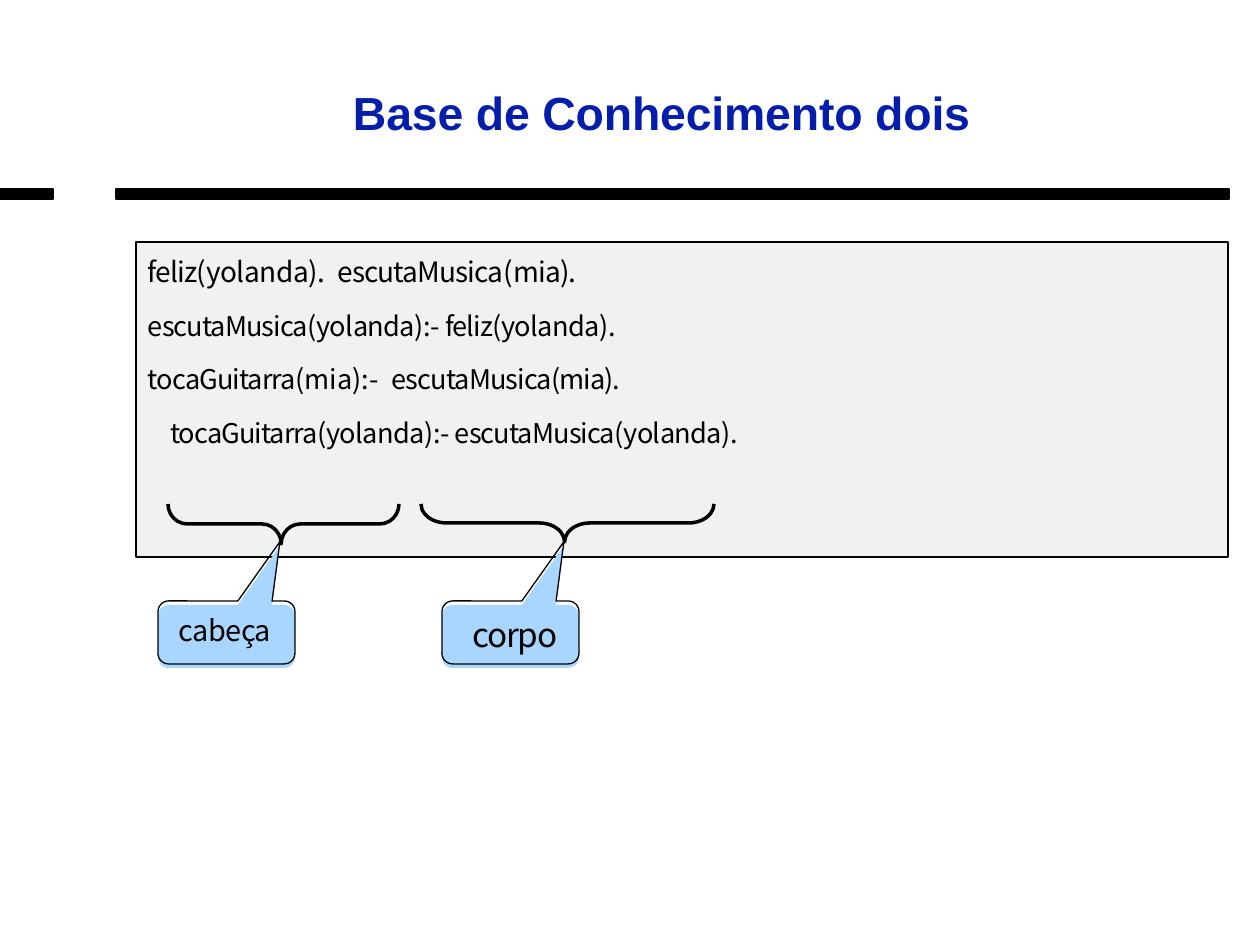
from lxml.etree import SubElement
from pptx import Presentation
from pptx.dml.color import RGBColor
from pptx.enum.shapes import MSO_SHAPE
from pptx.enum.text import MSO_ANCHOR, MSO_AUTO_SIZE, PP_ALIGN
from pptx.oxml.ns import qn
from pptx.util import Emu, Pt

EMU_PER_PX = 914400 / 126
COLORS = {"title": "041DAA", "ink": "000000", "panel": "E4E4E4", "callout": "A8D6FF"}
BODY_FONT = "Noto Sans CJK JP"
CLAUSES = [
    (16, 1, 1.5, 1, [("feliz(", -0.5), ("yolanda).", -0.2), (" ", 3.3),
                     ("escutaMusica", -0.5), ("(", 0.5), ("mia).", -0.5)]),
    (15.5, 1, Pt(29), 1.6, [("escutaMusica(", -0.5), ("yolanda):- ", -0.3),
                            ("feliz(", -0.5), ("yolanda).", -0.3)]),
    (15.5, 1, Pt(29), 1.6, [("tocaGuitarra(", -0.5), ("mia):-", 0.1), (" ", 3.6),
                            ("escutaMusica(mia).", -0.5)]),
    (15.5, 23, Pt(29), 1.6, [("tocaGuitarra(", -0.5), ("yolanda):- ", -0.3),
                             ("escutaMusica(", -0.5), ("yolanda).", -0.3)]),
]


def px(length):
    """Turn pixels into EMU."""
    return Emu(round(length * EMU_PER_PX))


def color(name):
    """Look up a named colour."""
    return RGBColor.from_string(COLORS[name])


def add_preset(slide, kind, box, fill=None, line=None, adjustments=()):
    """Add a preset shape with an optional fill colour and line width."""
    shape = slide.shapes.add_shape(kind, *map(px, box))
    shape.shadow.inherit = False
    for index, value in enumerate(adjustments):
        shape.adjustments[index] = value
    if fill:
        shape.fill.solid()
        shape.fill.fore_color.rgb = color(fill)
    else:
        shape.fill.background()
    if line:
        shape.line.color.rgb = color("ink")
        shape.line.width = Pt(line)
    else:
        shape.line.fill.background()
    return shape


def format_frame(frame, top_inset=1):
    """Give a text frame tight insets and top anchoring."""
    values = {"margin_left": 0, "margin_right": 0, "margin_bottom": 0,
              "margin_top": px(top_inset), "word_wrap": True,
              "auto_size": MSO_AUTO_SIZE.NONE, "vertical_anchor": MSO_ANCHOR.TOP}
    for name, value in values.items():
        setattr(frame, name, value)


def write_paragraph(paragraph, runs, size, indent, before, spacing=None,
                    font=BODY_FONT, ink="ink", bold=False):
    """Write runs of text, each with its own letter spacing."""
    values = {"alignment": PP_ALIGN.LEFT, "space_before": Pt(before), "line_spacing": spacing}
    for name, value in values.items():
        setattr(paragraph, name, value)
    properties = paragraph._p.get_or_add_pPr()
    properties.set("marL", str(px(indent)))
    properties.set("indent", "0")
    for text, tracking in runs:
        run = paragraph.add_run()
        run.text = text
        for name, value in {"name": font, "size": Pt(size), "bold": bold}.items():
            setattr(run.font, name, value)
        run.font.color.rgb = color(ink)
        run._r.get_or_add_rPr().set("spc", str(round(tracking * 100)))


def add_text(slide, box, top_inset=1):
    """Add a text box and return its frame."""
    frame = slide.shapes.add_textbox(*map(px, box)).text_frame
    format_frame(frame, top_inset)
    return frame


def add_header(slide, box):
    """Place the title and the broken rule below it."""
    left, top, width, height = box
    title = slide.shapes.title
    places = {"left": left + 286, "top": top, "width": 687, "height": 59}
    for name, value in places.items():
        setattr(title, name, px(value))
    format_frame(title.text_frame)
    write_paragraph(title.text_frame.paragraphs[0], [("Base de Conhecimento dois", -0.1)],
                    26.5, 67, 0.9, font="Arial", ink="title", bold=True)
    for start, end in ((left, 53), (left + 116, left + width)):
        add_preset(slide, MSO_SHAPE.RECTANGLE, (start, top + height - 10, end - start, 10),
                   "ink", 0.75)


def add_clauses(slide, box):
    """Place the translucent panel with its clauses."""
    left, top, width, height = box
    panel = add_preset(slide, MSO_SHAPE.RECTANGLE, box, "panel", 0.75)
    fill_color = panel._element.spPr.find(qn("a:solidFill"))[0]
    SubElement(fill_color, qn("a:alpha")).set("val", "50000")
    frame = add_text(slide, (left + 11, top - 5, 777, 213))
    for index, (size, indent, spacing, before, runs) in enumerate(CLAUSES):
        paragraph = frame.add_paragraph() if index else frame.paragraphs[0]
        write_paragraph(paragraph, runs, size, indent, before, spacing)


def add_brace(slide, box, radius, tip):
    """Place a brace that opens upward inside the box."""
    left, top, width, height = box
    shift = (width - height) / 2
    brace = add_preset(slide, MSO_SHAPE.RIGHT_BRACE,
                       (left + shift, top - shift, height, width),
                       line=2, adjustments=(radius, tip))
    brace.rotation = 90


def add_callout(slide, box, label, size, tracking, text_left, top_inset):
    """Place a callout whose fill sits slightly below its outline."""
    left, top, width, height = box
    wedge = (0.39, -1.44, 0.17)
    for offset, fill, line in ((4, "callout", None), (0, None, 0.75)):
        add_preset(slide, MSO_SHAPE.ROUNDED_RECTANGULAR_CALLOUT,
                   (left, top + offset, width, height), fill, line, wedge)
    frame = add_text(slide, (left + text_left, top + 11, 105, 42), top_inset)
    write_paragraph(frame.paragraphs[0], [(label, tracking)], size, 1, 1)


def main():
    """Build and save the slide."""
    presentation = Presentation()
    presentation.slide_width, presentation.slide_height = px(1260), px(945)
    slide = presentation.slides.add_slide(presentation.slide_layouts[5])
    add_header(slide, (0, 83, 1229, 116))
    add_clauses(slide, (136, 242, 1092, 315))
    add_callout(slide, (158, 601, 137, 63), "cabeça", 16.5, -0.3, 20, 1)
    add_callout(slide, (442, 601, 137, 63), "corpo", 19, -0.8, 30, 2)
    add_brace(slide, (168, 504, 231, 40), 0.48, 0.51)
    add_brace(slide, (421, 504, 293, 38), 0.67, 0.51)
    presentation.save("out.pptx")


if __name__ == "__main__":
    main()
